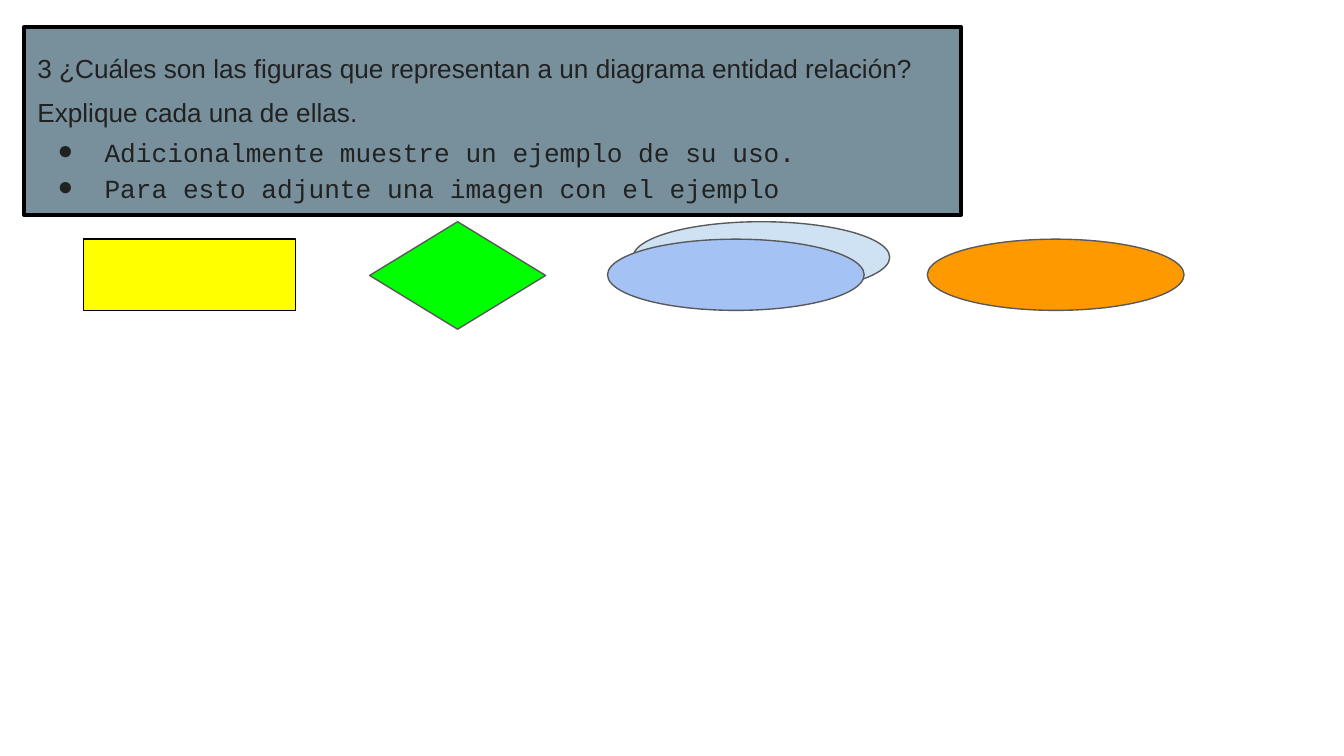
"""Build the slide on the figures of an entity-relationship diagram."""
from lxml.etree import SubElement
from pptx import Presentation
from pptx.dml.color import RGBColor
from pptx.enum.shapes import MSO_SHAPE as Shape
from pptx.enum.text import MSO_ANCHOR as Anchor, PP_ALIGN as Align
from pptx.oxml.ns import qn
from pptx.util import Inches, Pt

BLACK = RGBColor(0x00, 0x00, 0x00)
GRAY = RGBColor(0x59, 0x59, 0x59)
INK = RGBColor(0x21, 0x21, 0x21)
SLATE = RGBColor(0x78, 0x90, 0x9C)
YELLOW = RGBColor(0xFF, 0xFF, 0x00)
GREEN = RGBColor(0x00, 0xFF, 0x00)
PALE_BLUE = RGBColor(0xCF, 0xE2, 0xF3)
BLUE = RGBColor(0xA4, 0xC2, 0xF4)
ORANGE = RGBColor(0xFF, 0x99, 0x00)


def add_figure(page, kind, bounds, fill, line, width=0.75):
    figure = page.shapes.add_shape(kind, *(Inches(length) for length in bounds))
    figure.shadow.inherit = False
    figure.fill.solid()
    figure.fill.fore_color.rgb = fill
    figure.line.color.rgb = line
    figure.line.width = Pt(width)
    return figure


def add_bullet(para, font):
    props = para._p.get_or_add_pPr()
    props.set("marL", str(Inches(0.5)))
    props.set("indent", str(Inches(-0.35)))
    color = SubElement(props, qn("a:buClr"))
    SubElement(color, qn("a:srgbClr"), val=str(INK))
    SubElement(props, qn("a:buFont"), typeface=font)
    SubElement(props, qn("a:buChar"), char="●")


deck = Presentation()
deck.slide_width = Inches(10)
deck.slide_height = deck.slide_width * 9 // 16
page = deck.slides.add_slide(deck.slide_layouts[6])

question = add_figure(page, Shape.RECTANGLE, (0.18, 0.2, 6.97, 1.4), SLATE, BLACK, 2.25)
frame = question.text_frame
frame_format = {"word_wrap": True, "vertical_anchor": Anchor.TOP}
frame_format |= {f"margin_{side}": Inches(0.1) for side in ("left", "top", "right", "bottom")}
for name, value in frame_format.items():
    setattr(frame, name, value)

texts = [
    ("3 ¿Cuáles son las figuras que representan a un diagrama entidad relación? "
     "Explique cada una de ellas.", "Arial", 1.4, 0, False),
    ("Adicionalmente muestre un ejemplo de su uso.", "Courier New", 1.15, 2, True),
    ("Para esto adjunte una imagen con el ejemplo", "Courier New", 1.15, 0, True),
]
for index, (text, font, spacing, before, bulleted) in enumerate(texts):
    para = frame.add_paragraph() if index else frame.paragraphs[0]
    para_format = {"alignment": Align.LEFT, "line_spacing": spacing, "space_before": Pt(before)}
    for name, value in para_format.items():
        setattr(para, name, value)
    if bulleted:
        add_bullet(para, font)
    span = para.add_run()
    span.text = text
    for name, value in {"name": font, "size": Pt(14)}.items():
        setattr(span.font, name, value)
    span.font.color.rgb = INK

figures = [
    (Shape.RECTANGLE, (0.62, 1.78, 1.58, 0.53), YELLOW, BLACK),
    (Shape.DIAMOND, (2.75, 1.65, 1.31, 0.8), GREEN, GRAY),
    (Shape.OVAL, (4.71, 1.65, 1.91, 0.53), PALE_BLUE, GRAY),
    (Shape.OVAL, (4.52, 1.78, 1.91, 0.53), BLUE, GRAY),
    (Shape.OVAL, (6.9, 1.78, 1.91, 0.53), ORANGE, GRAY),
]
for kind, bounds, fill, line in figures:
    add_figure(page, kind, bounds, fill, line)

deck.save("out.pptx")
